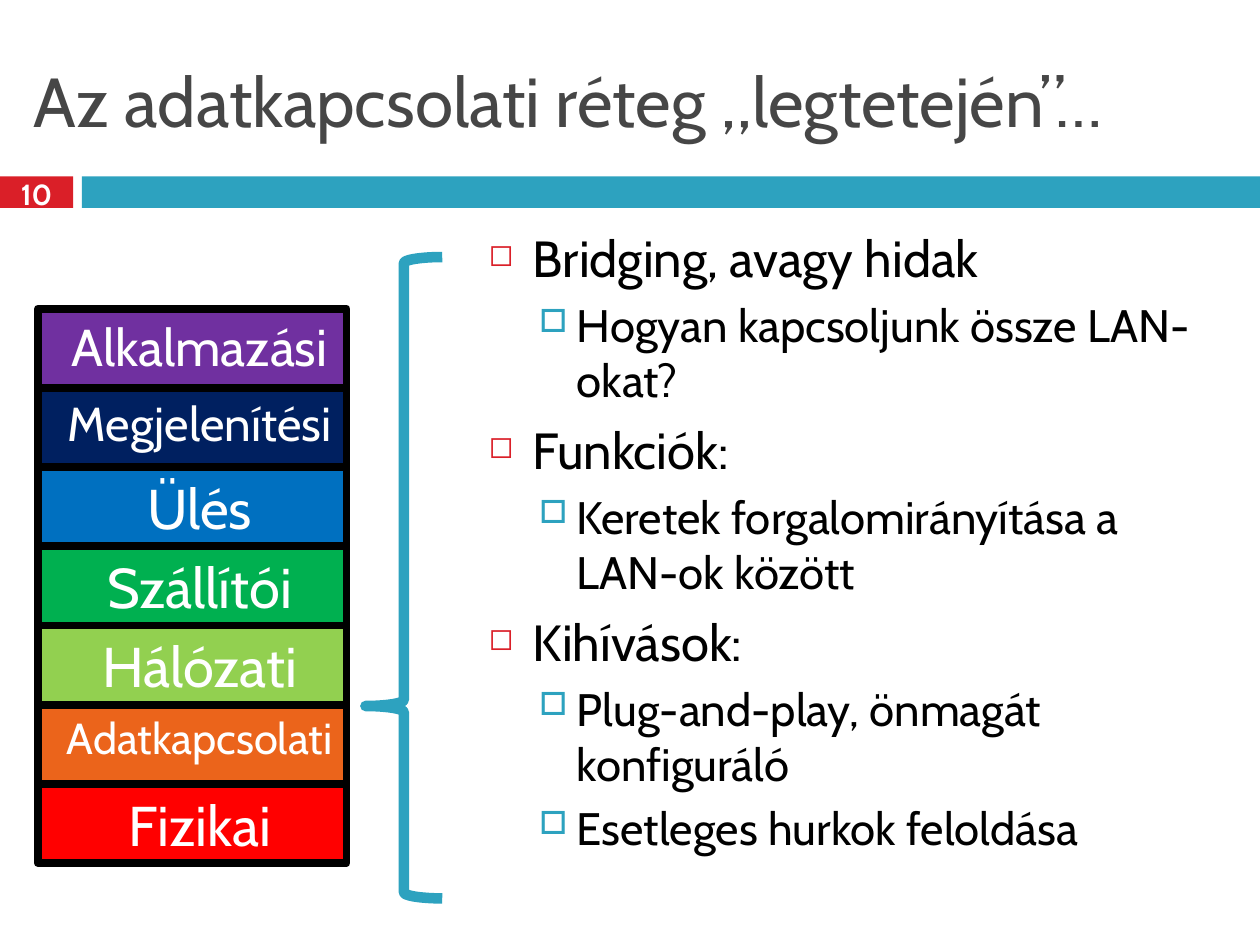
from dataclasses import dataclass

from lxml import etree
from pptx import Presentation
from pptx.dml.color import RGBColor
from pptx.enum.shapes import MSO_SHAPE
from pptx.enum.text import MSO_ANCHOR, PP_ALIGN
from pptx.oxml.ns import qn
from pptx.util import Inches, Pt

RECTANGLE, BRACE = MSO_SHAPE.RECTANGLE, MSO_SHAPE.LEFT_BRACE
TOP, MIDDLE = MSO_ANCHOR.TOP, MSO_ANCHOR.MIDDLE
LEFT, CENTER = PP_ALIGN.LEFT, PP_ALIGN.CENTER


@dataclass(frozen=True)
class Theme:
    font: str = "Cabin"
    accent: str = "2DA2BF"
    red: str = "DA1F28"
    title: str = "464646"
    dark: str = "000000"
    light: str = "FFFFFF"
    title_size: float = 39.6
    number_size: float = 16.6
    layer_size: float = 32
    body_sizes: tuple = (29, 26)


@dataclass(frozen=True)
class BulletLevel:
    margin: float
    hanging: float
    before: float
    mark: str
    color: str
    percent: int


class PageBuilder:
    def __init__(self, page, theme):
        self.page = page
        self.theme = theme

    def shape(self, kind, place, fill=None, line=None, width=0):
        shape = self.page.shapes.add_shape(kind, *map(Inches, place))
        shape.shadow.inherit = False
        if fill:
            shape.fill.solid()
            shape.fill.fore_color.rgb = RGBColor.from_string(fill)
        else:
            shape.fill.background()
        if line:
            shape.line.color.rgb = RGBColor.from_string(line)
            shape.line.width = Pt(width)
        else:
            shape.line.fill.background()
        return shape

    def format(self, para, size, color, bold=False, align=LEFT):
        para.alignment = align
        for span in para.runs:
            span.font.name = self.theme.font
            span.font.size = Pt(size)
            span.font.bold = bold
            span.font.color.rgb = RGBColor.from_string(color)

    def text_box(self, place, text="", anchor=TOP):
        box = self.page.shapes.add_textbox(*map(Inches, place))
        box.text_frame.word_wrap = True
        box.text_frame.vertical_anchor = anchor
        box.text_frame.text = text
        return box.text_frame

    def layer(self, place, name, fill, size):
        frame = self.shape(RECTANGLE, place, fill, self.theme.dark, 4.5).text_frame
        frame.word_wrap = True
        frame.vertical_anchor = TOP
        frame.text = name
        para = frame.paragraphs[0]
        self.format(para, size, self.theme.light, align=CENTER)
        para._p.get_or_add_pPr().set("marL", str(Inches(0.12)))

    def bullets(self, place, items, levels):
        frame = self.text_box(place)
        for index, (depth, text) in enumerate(items):
            para = frame.add_paragraph() if index else frame.paragraphs[0]
            para.text = text
            para.level = depth
            level = levels[depth]
            para.space_before = Pt(level.before)
            self.format(para, self.theme.body_sizes[depth], self.theme.dark)
            properties = para._p.get_or_add_pPr()
            properties.set("marL", str(Inches(level.margin)))
            properties.set("indent", str(-Inches(level.hanging)))
            color = etree.SubElement(properties, qn("a:buClr"))
            etree.SubElement(color, qn("a:srgbClr"), val=level.color)
            etree.SubElement(properties, qn("a:buSzPct"), val=str(level.percent * 1000))
            etree.SubElement(properties, qn("a:buChar"), char=level.mark)


theme = Theme()
deck = Presentation()
deck.slide_width, deck.slide_height = Inches(10), Inches(7.5)
builder = PageBuilder(deck.slides.add_slide(deck.slide_layouts[6]), theme)

# Header band, title and page number
builder.shape(RECTANGLE, (0, 1.4, 0.58, 0.25), theme.red)
builder.shape(RECTANGLE, (0.65, 1.4, 9.35, 0.25), theme.accent)
title = builder.text_box((0.17, 0.25, 9.67, 1.08),
                         "Az adatkapcsolati réteg „legtetején”…", MIDDLE)
builder.format(title.paragraphs[0], theme.title_size, theme.title)
number = builder.text_box((0, 1.37, 0.58, 0.33), "10", MIDDLE)
builder.format(number.paragraphs[0], theme.number_size, theme.light, True, CENTER)

# Bulleted text
LEVELS = (
    BulletLevel(0.35, 0.35, 7, "◻", theme.red, 60),
    BulletLevel(0.7, 0.3, 5.5, "□", theme.accent, 70),
)
builder.bullets((3.78, 1.75, 6.06, 5.58), (
    (0, "Bridging, avagy hidak"),
    (1, "Hogyan kapcsoljunk össze LAN-okat?"),
    (0, "Funkciók:"),
    (1, "Keretek forgalomirányítása a LAN-ok között"),
    (0, "Kihívások:"),
    (1, "Plug-and-play, önmagát konfiguráló"),
    (1, "Esetleges hurkok feloldása"),
), LEVELS)

# Stack of network layers, top to bottom
LAYERS = (
    ("Alkalmazási", "7030A0", 29.6),
    ("Megjelenítési", "002060", 27.2),
    ("Ülés", "0070C0", theme.layer_size),
    ("Szállítói", "00B050", theme.layer_size),
    ("Hálózati", "92D050", theme.layer_size),
    ("Adatkapcsolati", "EB641B", 24.8),
    ("Fizikai", "FF0000", theme.layer_size),
)
STACK_TOP, STACK_HEIGHT = 2.45, 4.4
layer_height = STACK_HEIGHT / len(LAYERS)
for row, (name, fill, size) in enumerate(LAYERS):
    place = (0.3, STACK_TOP + row * layer_height, 2.45, layer_height)
    builder.layer(place, name, fill, size)

# Brace from the data link layer to the text
brace = builder.shape(BRACE, (2.9, 2.04, 0.61, 5.09), line=theme.accent, width=6)
brace.adjustments[0], brace.adjustments[1] = 0.08, 0.7

deck.save("out.pptx")
